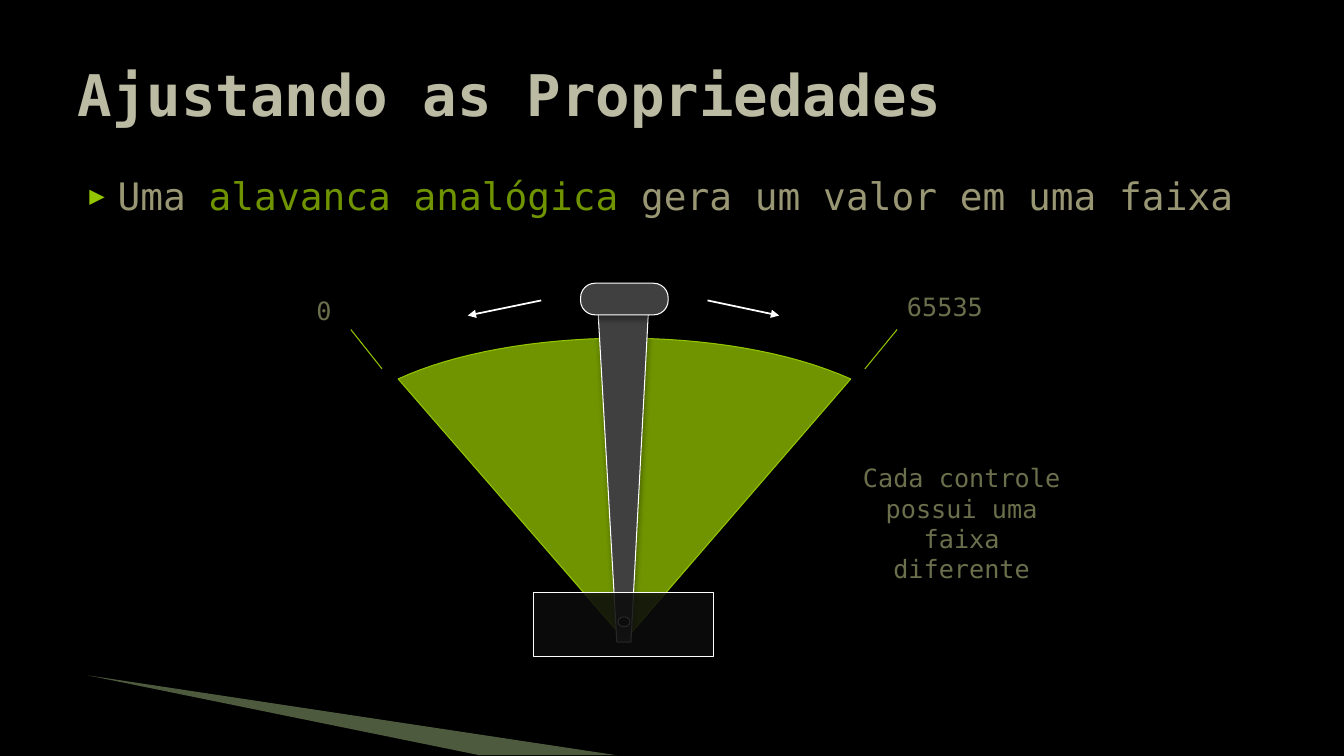
"""Build the slide about the value range of an analog lever."""
from lxml import etree
from pptx import Presentation
from pptx.dml.color import RGBColor
from pptx.enum import shapes as kinds, text as txt
from pptx.oxml.ns import qn
from pptx.util import Pt

FONT = "DejaVu Sans Mono"
GREEN, LIME, OLIVE, WHITE, STEEL, COAL = "6F9400", "94C600", "6C6F4C", "FFFFFF", "404040", "0D0D0D"

TITLE = "Ajustando as Propriedades"
STATEMENT = [
    ("Uma ", "999773"),
    ("alavanca analógica ", GREEN),
    ("gera um valor em uma faixa", "999773"),
]
LABELS = [
    ("0", (218.9, 207.4, 26, 28.8), False),
    ("65535", (640.8, 204.5, 72, 28.8), False),
    ("Cada controle possui uma faixa diferente", (601.9, 326.9, 169.9, 90), True),
]
SWOOSH = [(62.6, 482.4), (440.6, 539.5), (342.7, 539.5)]
FAN_TIP = (446.4, 457.2)
FAN_ARC = [(284.4, 270.7), (365, 233.3), (517.7, 230.4), (607.7, 270.7)]
LEVER = [(464.4, 224.6), (463, 225.4), (450.7, 458.6), (440.6, 458.6), (427.3, 224.6)]
KNOB = (414.7, 202.3, 62.6, 22.6)
PIVOT = (441.4, 440.6, 8.6, 7.2)
BASE = (380.9, 423.4, 128.9, 45.4)
ARROWS = [((505.4, 214.6), (556.6, 225.4)), ((386.6, 214.6), (334.1, 225.4))]
TICKS = [((272.9, 263.5), (250.6, 235.4)), ((617.8, 263.5), (640.8, 235.4))]


def rgb(value):
    return RGBColor.from_string(value)


def style_runs(paragraph, size, colors, bold=False):
    for run, color in zip(paragraph.runs, colors):
        run.font.name, run.font.size, run.font.bold = FONT, Pt(size), bold
        run.font.color.rgb = rgb(color)


def place(shape, box):
    shape.left, shape.top, shape.width, shape.height = map(Pt, box)


def add_text(slide, box, wrap=True):
    frame = slide.shapes.add_textbox(*map(Pt, box)).text_frame
    frame.word_wrap = wrap
    return frame


def paint(shape, fill, line=None, alpha=None, shadow=True):
    shape.shadow.inherit = False
    shape.fill.solid()
    shape.fill.fore_color.rgb = rgb(fill)
    if alpha:
        color = shape.fill._xPr.find(".//" + qn("a:srgbClr"))
        etree.SubElement(color, qn("a:alpha"), val=str(alpha * 1000))
    if line:
        shape.line.color.rgb = rgb(line)
        shape.line.width = Pt(0.75)
    else:
        shape.line.fill.background()
    if shadow:
        effects = shape._element.spPr.find(qn("a:effectLst"))
        outer = etree.SubElement(effects, qn("a:outerShdw"), blurRad=str(Pt(4)),
                                 dist=str(Pt(3)), dir="5400000", rotWithShape="0")
        color = etree.SubElement(outer, qn("a:srgbClr"), val="000000")
        etree.SubElement(color, qn("a:alpha"), val="35000")


def add_outline(slide, points):
    start, *rest = [(Pt(x), Pt(y)) for x, y in points]
    builder = slide.shapes.build_freeform(*start, scale=1.0)
    builder.add_line_segments(rest, close=True)
    return builder.convert_to_shape()


def add_line(slide, ends, color, width, arrow=False):
    (x1, y1), (x2, y2) = ends
    line = slide.shapes.add_connector(kinds.MSO_CONNECTOR.STRAIGHT, Pt(x1), Pt(y1), Pt(x2), Pt(y2))
    line.line.color.rgb = rgb(color)
    line.line.width = Pt(width)
    if arrow:
        etree.SubElement(line.line._get_or_add_ln(), qn("a:tailEnd"), type="triangle")
    etree.SubElement(line._element.spPr, qn("a:effectLst"))


def curve(controls, steps=32):
    for t in (step / steps for step in range(steps + 1)):
        weights = ((1 - t) ** 3, 3 * t * (1 - t) ** 2, 3 * t * t * (1 - t), t ** 3)
        yield tuple(sum(w * c for w, c in zip(weights, axis)) for axis in zip(*controls))


def add_statement(slide):
    paragraph = add_text(slide, (48.2, 120, 864, 60)).paragraphs[0]
    props = paragraph._p.get_or_add_pPr()
    props.set("marL", str(Pt(28.8)))
    props.set("indent", str(Pt(-20.2)))
    bullet_color = etree.SubElement(props, qn("a:buClr"))
    etree.SubElement(bullet_color, qn("a:srgbClr"), val=LIME)
    etree.SubElement(props, qn("a:buSzPct"), val="68000")
    etree.SubElement(props, qn("a:buFont"), typeface=FONT)
    etree.SubElement(props, qn("a:buChar"), char="▶")
    for words, _ in STATEMENT:
        paragraph.add_run().text = words
    style_runs(paragraph, 27, [color for _, color in STATEMENT])


def add_lever(slide):
    paint(add_outline(slide, [FAN_TIP, *curve(FAN_ARC)]), GREEN, LIME)
    paint(add_outline(slide, LEVER), STEEL, WHITE)
    preset = kinds.MSO_SHAPE
    for kind, box, fill, alpha in [
        (preset.ROUNDED_RECTANGLE, KNOB, STEEL, None),
        (preset.OVAL, PIVOT, COAL, None),
        (preset.FLOWCHART_PROCESS, BASE, COAL, 84),
    ]:
        part = slide.shapes.add_shape(kind, *map(Pt, box))
        if kind == preset.ROUNDED_RECTANGLE:
            part.adjustments[0] = 0.46
        paint(part, fill, WHITE, alpha)
    for ends in ARROWS:
        add_line(slide, ends, WHITE, 1.25, arrow=True)
    for ends in TICKS:
        add_line(slide, ends, LIME, 0.75)


def main():
    deck = Presentation()
    deck.slide_width, deck.slide_height = Pt(960), Pt(540)
    slide = deck.slides.add_slide(deck.slide_layouts[5])
    slide.background.fill.solid()
    slide.background.fill.fore_color.rgb = rgb("000000")

    paint(add_outline(slide, SWOOSH), "C3E19D", alpha=40, shadow=False)

    title = slide.shapes.title
    place(title, (48.2, 21.6, 864, 90))
    title.text_frame.text = TITLE
    title.text_frame.vertical_anchor = txt.MSO_ANCHOR.MIDDLE
    heading = title.text_frame.paragraphs[0]
    heading.alignment = txt.PP_ALIGN.LEFT
    style_runs(heading, 41, ["BBBAA2"], bold=True)

    add_statement(slide)
    for words, box, wrap in LABELS:
        frame = add_text(slide, box, wrap)
        frame.text = words
        label = frame.paragraphs[0]
        label.alignment = txt.PP_ALIGN.CENTER if wrap else txt.PP_ALIGN.LEFT
        style_runs(label, 18, [OLIVE])
    add_lever(slide)
    deck.save("out.pptx")


if __name__ == "__main__":
    main()
